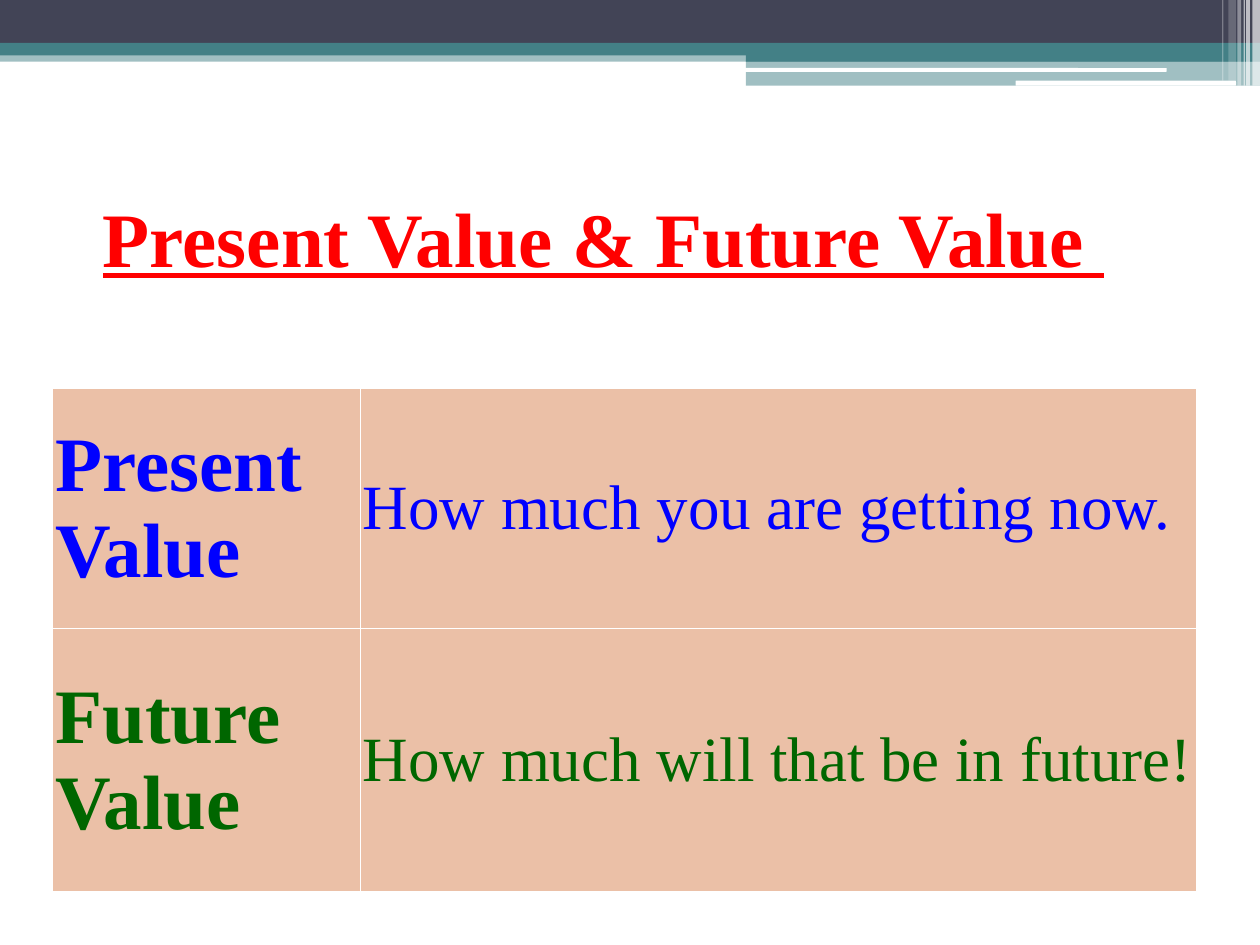
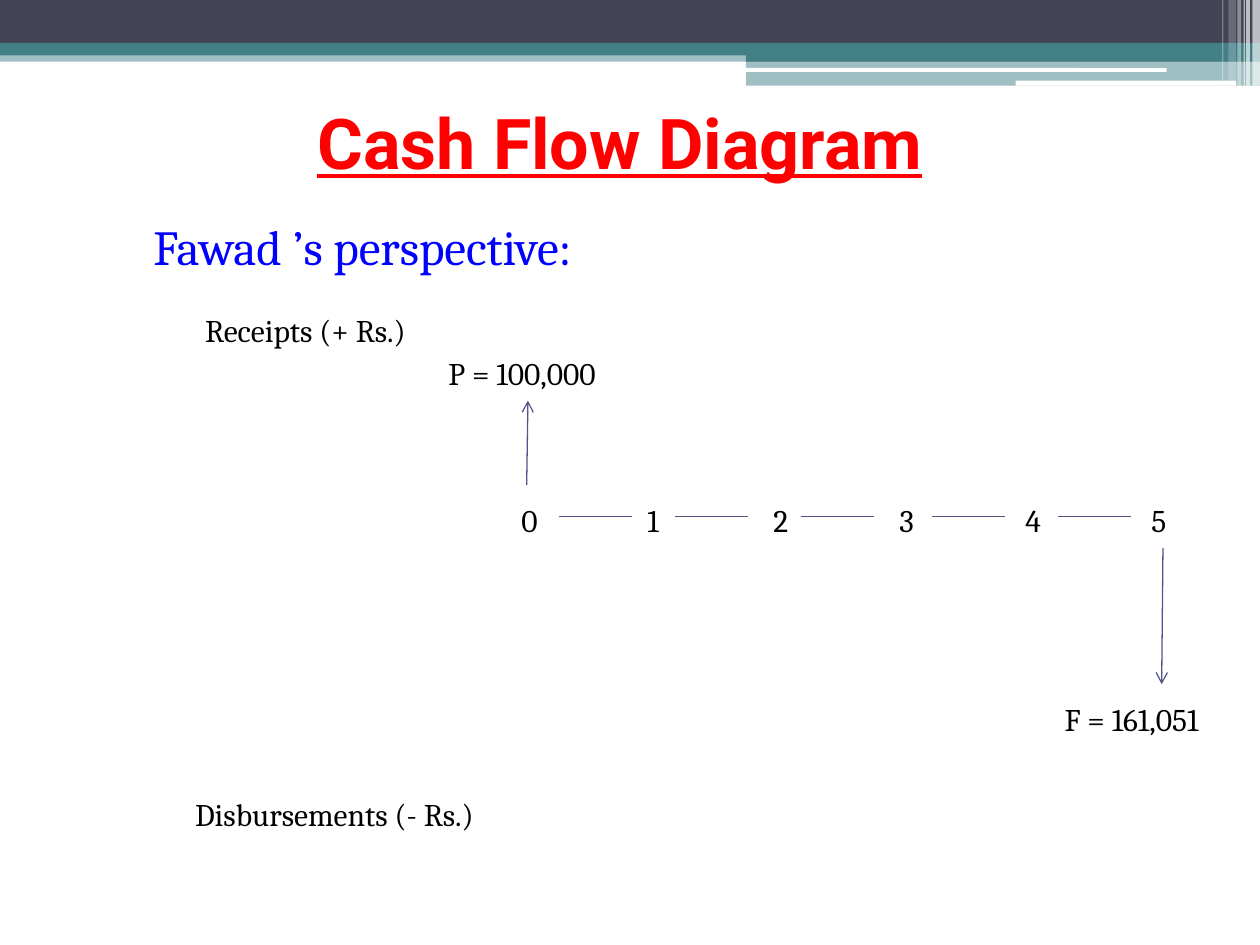
from dataclasses import dataclass

from lxml.etree import SubElement
from pptx import Presentation
from pptx.dml.color import RGBColor
from pptx.enum.shapes import MSO_CONNECTOR as Connector, MSO_SHAPE as Preset
from pptx.enum.text import MSO_ANCHOR as Anchor, MSO_AUTO_SIZE as AutoSize, PP_ALIGN as Align
from pptx.oxml.ns import qn
from pptx.util import Inches, Pt


@dataclass(frozen=True)
class Theme:
    """Grid, colours, fonts and type sizes shared by the slides."""
    width: int = Inches(10)
    height: int = Inches(7.5)
    columns: int = 10
    rows: float = 7.5
    navy: str = "424456"
    teal: str = "438086"
    white: str = "FFFFFF"
    black: str = "000000"
    red: str = "FF0000"
    blue: str = "0000FF"
    green: str = "006600"
    peach: str = "EBC0A7"
    violet: str = "53548A"
    serif: str = "Times New Roman"
    sans: str = "Roboto"
    body: str = "Cambria"
    large: int = 44
    title: int = 40
    medium: int = 36
    heading: int = 28
    label: int = 18
    hairline: float = 0.75


THEME = Theme()


def across(columns):
    """Turn grid columns into a length."""
    return round(THEME.width * columns / THEME.columns)


def down(rows):
    """Turn grid rows into a length."""
    return round(THEME.height * rows / THEME.rows)


def grid_box(left, top, width, height):
    """Turn a grid rectangle into lengths."""
    return across(left), down(top), across(width), down(height)


def text_format(size, name, color, **extra):
    """Collect the format values of a run."""
    return {"size": Pt(size), "name": name, "color": color, **extra}


def add_run(paragraph, text, style):
    """Append a run formatted from a dict."""
    run = paragraph.add_run()
    run.text = text
    for attribute, value in style.items():
        if attribute == "color":
            run.font.color.rgb = RGBColor.from_string(value)
        else:
            setattr(run.font, attribute, value)


def add_text(slide, box, text, style, **frame_values):
    """Add a text box and return its paragraph."""
    frame = slide.shapes.add_textbox(*grid_box(*box)).text_frame
    for attribute, value in {"word_wrap": True, **frame_values}.items():
        setattr(frame, attribute, value)
    paragraph = frame.paragraphs[0]
    add_run(paragraph, text, style)
    return paragraph


def add_title(slide, box, text, size, font):
    """Add a red underlined title and return its paragraph."""
    style = text_format(size, font, THEME.red, bold=True, underline=True)
    return add_text(slide, box, text, style, vertical_anchor=Anchor.MIDDLE)


def add_label(slide, box, text):
    """Add an unwrapped diagram label and return its paragraph."""
    style = text_format(THEME.label, THEME.body, THEME.black)
    return add_text(slide, box, text, style, word_wrap=False,
                    auto_size=AutoSize.SHAPE_TO_FIT_TEXT)


def add_band(slide, box, color, opacity=100, preset=Preset.RECTANGLE):
    """Add a borderless band, optionally translucent."""
    shape = slide.shapes.add_shape(preset, *grid_box(*box))
    shape.shadow.inherit = False
    shape.line.fill.background()
    shape.fill.solid()
    shape.fill.fore_color.rgb = RGBColor.from_string(color)
    if opacity < 100:
        rgb = shape.fill._xPr.find(f".//{qn('a:srgbClr')}")
        SubElement(rgb, qn("a:alpha"), val=str(opacity * 1000))


def add_header(slide):
    """Draw the banded header with its stripes at the right."""
    half, full = THEME.columns * 0.592, THEME.columns
    for box, color, opacity in (
        ((0, 0.4, full, 0.09), THEME.teal, 50),
        ((0, 0, full, 0.34), THEME.navy, 100),
        ((0, 0.34, full, 0.1), THEME.teal, 100),
        ((half, 0.39, full - half, 0.1), THEME.teal, 100),
        ((half, 0.48, full - half, 0.2), THEME.teal, 50),
    ):
        add_band(slide, box, color, opacity)
    for box in (5.91, 0.54, 3.35, 0.03), (8.06, 0.64, 1.75, 0.04):
        add_band(slide, box, THEME.white, preset=Preset.ROUNDED_RECTANGLE)
    for left, width, height, opacity in (
        (9.94, 0.06, 0.68, 65), (9.89, 0.03, 0.68, 65), (9.87, 0.01, 0.68, 60),
        (9.82, 0.03, 0.68, 40), (9.75, 0.06, 0.64, 20), (9.7, 0.01, 0.64, 30),
    ):
        add_band(slide, (left, 0, width, height), THEME.white, opacity)


def add_line(slide, start, end, arrow=False):
    """Add a thin line, with an open arrowhead at its end if asked."""
    connector = slide.shapes.add_connector(
        Connector.STRAIGHT, across(start[0]), down(start[1]), across(end[0]), down(end[1]))
    connector.line.color.rgb = RGBColor.from_string(THEME.violet)
    connector.line.width = Pt(THEME.hairline)
    if arrow:
        SubElement(connector.line._get_or_add_ln(), qn("a:tailEnd"), type="arrow")
    SubElement(connector._element.spPr, qn("a:effectLst"))


def add_tabs(paragraph, count):
    """Set a left tab stop at every grid column."""
    tabs = SubElement(paragraph._p.get_or_add_pPr(), qn("a:tabLst"))
    for column in range(1, count + 1):
        SubElement(tabs, qn("a:tab"), pos=str(across(column)), algn="l")


def set_borders(cell):
    """Give all four sides of a cell a white hairline."""
    properties = cell._tc.get_or_add_tcPr()
    for index, side in enumerate(("lnL", "lnR", "lnT", "lnB")):
        line = SubElement(properties, qn(f"a:{side}"), w=str(Pt(THEME.hairline)))
        fill = SubElement(line, qn("a:solidFill"))
        SubElement(fill, qn("a:srgbClr"), val=THEME.white)
        properties.insert(index, line)


def fill_cell(cell, text, style):
    """Write and format one table cell."""
    for attribute, value in {
        "vertical_anchor": Anchor.MIDDLE,
        "margin_left": across(0.02), "margin_right": across(0.02),
        "margin_top": down(0.05), "margin_bottom": down(0.05),
    }.items():
        setattr(cell, attribute, value)
    cell.fill.solid()
    cell.fill.fore_color.rgb = RGBColor.from_string(THEME.peach)
    set_borders(cell)
    add_run(cell.text_frame.paragraphs[0], text, style)


def add_definitions(slide, left, top, widths, heights, definitions):
    """Add a table of terms and meanings, one colour per row."""
    box = grid_box(left, top, sum(widths), sum(heights))
    table = slide.shapes.add_table(len(heights), len(widths), *box).table
    table.first_row = table.horz_banding = False
    for column, width in zip(table.columns, widths):
        column.width = across(width)
    for row, height, (term, meaning, color) in zip(table.rows, heights, definitions):
        row.height = down(height)
        fill_cell(row.cells[0], term, text_format(THEME.large, THEME.serif, color, bold=True))
        fill_cell(row.cells[1], meaning, text_format(THEME.medium, THEME.serif, color, bold=False))


def add_timeline(slide, years, segment_starts):
    """Add the row of years and the lines between them."""
    axis, segment = 4.1, 0.58
    paragraph = add_label(slide, (4.04, 3.93, 5.34, 0.4), "\t".join(map(str, range(years + 1))))
    add_tabs(paragraph, years)
    for start in segment_starts:
        add_line(slide, (start, axis), (start + segment, axis))


def new_slide(presentation):
    """Add a blank slide with the shared header."""
    slide = presentation.slides.add_slide(presentation.slide_layouts[6])
    add_header(slide)
    return slide


def build_values(presentation):
    """Build the slide that defines present and future value."""
    slide = new_slide(presentation)
    title = add_title(slide, (0.5, 1.25, 8.58, 1.25), "Present Value & Future Value",
                      THEME.large, THEME.serif)
    title.alignment = Align.CENTER
    add_run(title, " ", text_format(THEME.large, THEME.serif, THEME.red, underline=True))
    add_definitions(slide, 0.42, 3.08, (2.44, 6.64), (1.91, 2.09), (
        ("Present Value", "How much you are getting now.", THEME.blue),
        ("Future Value", "How much will that be in future!", THEME.green),
    ))


def build_cash_flow(presentation):
    """Build the slide with the cash flow diagram."""
    slide = new_slide(presentation)
    add_title(slide, (2.42, 0.58, 5.5, 1.08), "Cash Flow Diagram", THEME.title, THEME.sans)
    heading = add_text(slide, (1, 1.67, 8.2, 0.67), "Fawad ’s perspective:",
                       text_format(THEME.heading, THEME.body, THEME.blue))
    properties = heading._p.get_or_add_pPr()
    properties.set("marL", str(across(0.4)))
    properties.set("indent", str(across(-0.28)))
    for left, top, width, text in (
        (1.53, 2.42, 1.97, "Receipts (+ Rs.)"),
        (1.45, 6.26, 2.7, "Disbursements (- Rs.)"),
        (3.46, 2.76, 1.52, "P = 100,000"),
        (8.35, 5.51, 1.52, "F = 161,051"),
    ):
        add_label(slide, (left, top, width, 0.4), text)
    add_timeline(slide, 5, (4.44, 5.36, 6.36, 7.4, 8.4))
    add_line(slide, (4.18, 3.85), (4.19, 3.18), arrow=True)
    add_line(slide, (9.23, 4.35), (9.22, 5.43), arrow=True)


def main():
    """Build and save the presentation."""
    presentation = Presentation()
    presentation.slide_width, presentation.slide_height = THEME.width, THEME.height
    build_values(presentation)
    build_cash_flow(presentation)
    presentation.save("out.pptx")


if __name__ == "__main__":
    main()
